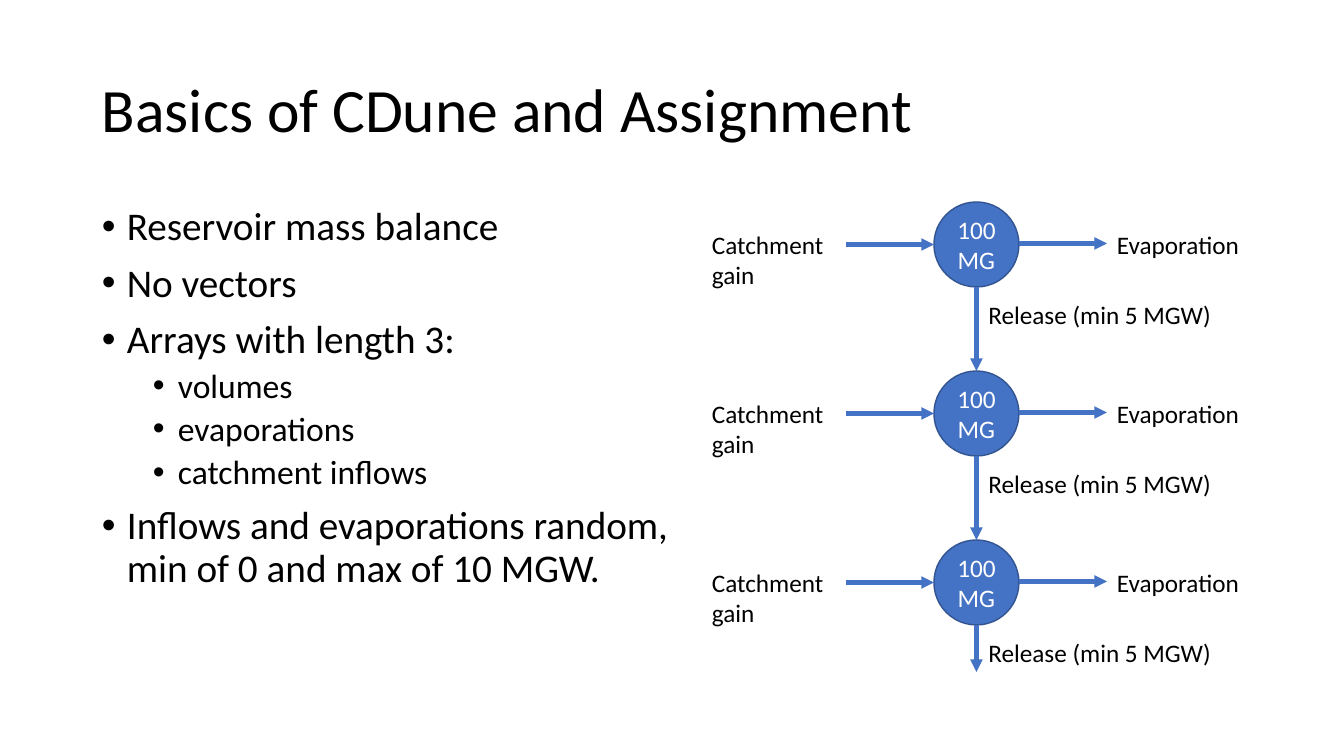
from collections import namedtuple

from lxml import etree
from pptx import Presentation
from pptx.dml.color import RGBColor
from pptx.enum.shapes import MSO_CONNECTOR, MSO_SHAPE
from pptx.enum.text import MSO_ANCHOR, PP_ALIGN
from pptx.oxml.ns import qn
from pptx.util import Pt

STRAIGHT = MSO_CONNECTOR.STRAIGHT
OVAL = MSO_SHAPE.OVAL
TOP, MIDDLE = MSO_ANCHOR.TOP, MSO_ANCHOR.MIDDLE
CENTER = PP_ALIGN.CENTER

EMU_PER_PIXEL = 914400 / 100.8
FONT = "Calibri"
COLORS = {"text": "000000", "light": "FFFFFF", "blue": "4472C4", "edge": "325491"}
Box = namedtuple("Box", "left top width height")

BULLETS = [
    ("Reservoir mass balance", 0),
    ("No vectors", 0),
    ("Arrays with length 3:", 0),
    ("volumes", 1),
    ("evaporations", 1),
    ("catchment inflows", 1),
    ("Inflows and evaporations random, min of 0 and max of 10 MGW.", 0),
]
LEVELS = [
    {"size": 28, "before": 10, "margin": 25},
    {"size": 24, "before": 5, "margin": 76},
]
HANGING = 25


def px(value):
    return round(value * EMU_PER_PIXEL)


def color(name):
    return RGBColor.from_string(COLORS[name])


def apply(target, values):
    for name, value in values.items():
        setattr(target, name, value)


def write(para, text, size, ink="text", **layout):
    apply(para, layout)
    span = para.add_run()
    span.text = text
    apply(span.font, {"name": FONT, "size": Pt(size)})
    span.font.color.rgb = color(ink)


def add_text_frame(page, box, anchor=TOP):
    frame = page.shapes.add_textbox(*map(px, box)).text_frame
    apply(frame, {"word_wrap": True, "vertical_anchor": anchor})
    return frame


def add_label(page, box, lines):
    frame = add_text_frame(page, box)
    for index, line in enumerate(lines):
        para = frame.add_paragraph() if index else frame.paragraphs[0]
        write(para, line, 18)


def add_arrow(page, *ends):
    arrow = page.shapes.add_connector(STRAIGHT, *map(px, ends))
    arrow.line.color.rgb = color("blue")
    arrow.line.width = Pt(3)
    etree.SubElement(arrow.line._get_or_add_ln(), qn("a:tailEnd"), type="triangle")
    etree.SubElement(arrow._element.spPr, qn("a:effectLst"))


def add_bullet(para, margin):
    props = para._p.get_or_add_pPr()
    props.set("marL", str(px(margin)))
    props.set("indent", str(px(-HANGING)))
    etree.SubElement(props, qn("a:buFont"), typeface="Arial")
    etree.SubElement(props, qn("a:buChar"), char="•")


def add_title(page, box):
    frame = add_text_frame(page, box, MIDDLE)
    write(frame.paragraphs[0], "Basics of CDune and Assignment", 44, line_spacing=0.9)


def add_bullets(page, box):
    frame = add_text_frame(page, box)
    for index, (text, depth) in enumerate(BULLETS):
        para = frame.add_paragraph() if index else frame.paragraphs[0]
        level = LEVELS[depth]
        write(para, text, level["size"], level=depth, line_spacing=0.9,
              space_before=Pt(level["before"]))
        add_bullet(para, level["margin"])


def add_reservoir(page, box):
    circle = page.shapes.add_shape(OVAL, *map(px, box))
    circle.shadow.inherit = False
    circle.fill.solid()
    circle.fill.fore_color.rgb = color("blue")
    circle.line.color.rgb = color("edge")
    circle.line.width = Pt(1)
    frame = circle.text_frame
    apply(frame, {"word_wrap": True, "vertical_anchor": MIDDLE,
                  "margin_left": 0, "margin_right": 0})
    write(frame.paragraphs[0], "100 MG", 18, "light", alignment=CENTER)


def add_cascade(page, box, count=3):
    diameter, pitch, reach = 85, 169, 88
    left = box.left + 232
    right = left + diameter
    center = left + diameter / 2
    bottom = box.top + box.height
    for index in range(count):
        top = box.top + index * pitch
        middle = top + diameter / 2
        base = top + diameter
        label_top = top + 22
        add_reservoir(page, Box(left, top, diameter, diameter))
        add_arrow(page, left - reach, middle, left, middle)
        add_arrow(page, right, middle - 1, right + reach, middle - 1)
        add_arrow(page, center, base, center, min(top + pitch, bottom))
        add_label(page, Box(box.left, label_top, 139, 71), ["Catchment", "gain"])
        add_label(page, Box(right + reach, label_top, 150, 40), ["Evaporation"])
        add_label(page, Box(center + 2, top + 92, 260, 40), ["Release (min 5 MGW)"])


deck = Presentation()
apply(deck, {"slide_width": px(1344), "slide_height": px(756)})
page = deck.slides.add_slide(deck.slide_layouts[6])
add_title(page, Box(92, 40, 1159, 146))
add_bullets(page, Box(92, 202, 602, 480))
add_cascade(page, Box(702, 202, 545, 470))
deck.save("out.pptx")
